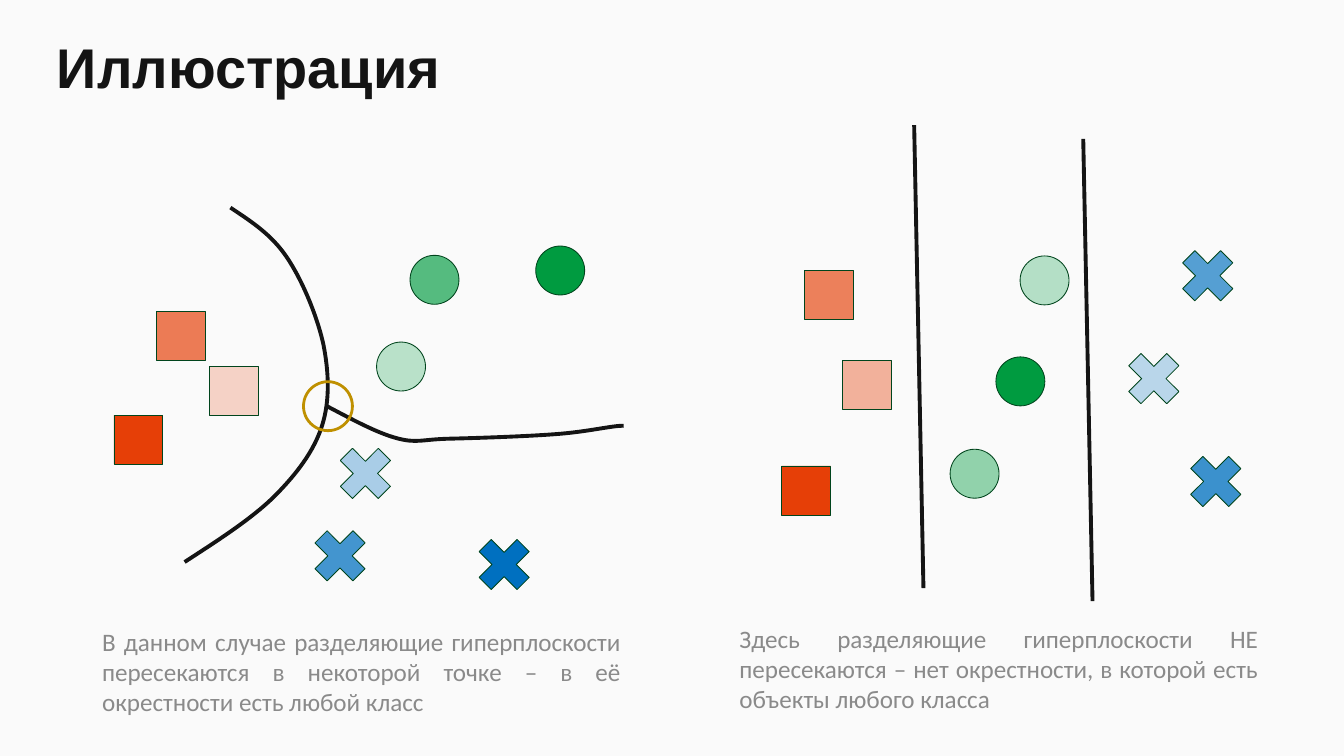
from dataclasses import dataclass
from typing import Optional

from lxml.etree import SubElement
from pptx import Presentation
from pptx.dml.color import RGBColor
from pptx.enum.shapes import MSO_CONNECTOR as Link, MSO_SHAPE as Form
from pptx.enum.text import MSO_ANCHOR as Anchor, MSO_AUTO_SIZE as Fit, PP_ALIGN as Align
from pptx.oxml.ns import qn
from pptx.util import Inches, Pt

COLS, ROWS = 217, 122
CELL = Inches(21.7) / COLS
INK, EDGE, GOLD, GREY, PAPER = "141414", "00441C", "BF9000", "8A8A8A", "FAFAFA"
Point = tuple[float, float]


@dataclass(frozen=True)
class Kind:
    form: Form
    size: float
    fill: Optional[str] = None
    edge: str = EDGE
    width: float = 1


@dataclass(frozen=True)
class Mark:
    """An object of a class, placed by its centre; alpha is in percent."""
    kind: Kind
    col: float
    row: float
    alpha: int = 100


@dataclass(frozen=True)
class Note:
    col: float
    row: float
    text: str


SQUARE = Kind(Form.RECTANGLE, 7.9, "E63F07")
DOT = Kind(Form.OVAL, 7.9, "009B40")
CROSS = Kind(Form.MATH_MULTIPLY, 11.8, "0070C0")
RING = Kind(Form.OVAL, 7.9, edge=GOLD, width=3.25)

MEETING = [
    Mark(SQUARE, 29.25, 54.25, 68), Mark(SQUARE, 22.35, 70.95), Mark(SQUARE, 37.75, 63.15, 21),
    Mark(DOT, 70.15, 45.15, 66), Mark(DOT, 90.45, 43.65), Mark(DOT, 64.75, 59.15, 26),
    Mark(CROSS, 59, 76.4, 32), Mark(CROSS, 81.4, 91.1), Mark(CROSS, 54.9, 89.7, 73),
]
APART = [
    Mark(SQUARE, 133.85, 47.55, 65), Mark(SQUARE, 139.95, 62.05, 39), Mark(SQUARE, 130.15, 79.15),
    Mark(DOT, 168.65, 45.25, 28), Mark(DOT, 164.75, 61.55), Mark(DOT, 157.35, 76.45, 42),
    Mark(CROSS, 195, 44.5, 66), Mark(CROSS, 186.3, 61.1, 26), Mark(CROSS, 196.3, 77.7, 76),
]
# Each curve is a start point, then two handles and an end point per piece.
CURVES: list[list[Point]] = [
    [(37.2, 33.5), (40.5, 35.7), (43.8, 37.8), (46.3, 41.5),
     (48.8, 45.2), (51.2, 51), (52.2, 55.5), (53.1, 60), (53.3, 64.6), (52, 68.7),
     (50.7, 72.8), (47.9, 76.5), (44.2, 80.2), (40.5, 83.8), (35.2, 87.2), (29.8, 90.7)],
    [(52.7, 65.5), (56.7, 67.6), (60.7, 69.8), (64, 70.7),
     (67.3, 71.6), (68.1, 70.9), (72.5, 70.8), (76.9, 70.7), (85.8, 70.4), (90.5, 70),
     (95.2, 69.6), (98.8, 68.7), (100.7, 68.7)],
]
LINES: list[tuple[Point, Point]] = [
    ((147.6, 20.2), (149.1, 94.9)),
    ((174.9, 22.4), (176.4, 97)),
]
NOTES = [
    Note(15.5, 100.6, "В данном случае разделяющие гиперплоскости пересекаются "
                      "в некоторой точке – в её окрестности есть любой класс"),
    Note(118.4, 100.1, "Здесь разделяющие гиперплоскости НЕ пересекаются – "
                       "нет окрестности, в которой есть объекты любого класса"),
]


def grid(*cells: float) -> list[int]:
    return [round(cell * CELL) for cell in cells]


def paint(color, value: str) -> None:
    color.rgb = RGBColor.from_string(value)


def stroke(line, color: str, width: float) -> None:
    paint(line.color, color)
    line.width = Pt(width)


def style(para, font: str, size: float, color: str, bold: bool = False) -> None:
    para.font.name, para.font.size, para.font.bold = font, Pt(size), bold
    paint(para.font.color, color)


def add_mark(shapes, mark: Mark) -> None:
    kind, half = mark.kind, mark.kind.size / 2
    shape = shapes.add_shape(
        kind.form, *grid(mark.col - half, mark.row - half, kind.size, kind.size))
    shape.shadow.inherit = False
    stroke(shape.line, kind.edge, kind.width)
    if kind.fill is None:
        shape.fill.background()
        return
    shape.fill.solid()
    paint(shape.fill.fore_color, kind.fill)
    if mark.alpha < 100:
        tint = shape._element.spPr.find(qn("a:solidFill"))[0]
        SubElement(tint, qn("a:alpha"), val=str(mark.alpha * 1000))


def add_curve(shapes, knots: list[Point]) -> None:
    """Draw the knots as an outline, then join each three into a Bezier piece."""
    first, *rest = [grid(*knot) for knot in knots]
    draft = shapes.build_freeform(*first)
    draft.add_line_segments(rest, close=False)
    curve = draft.convert_to_shape()
    trace = next(curve._element.iter(qn("a:path")))
    legs = trace.findall(qn("a:lnTo"))
    for i in range(0, len(legs), 3):
        piece = SubElement(trace, qn("a:cubicBezTo"))
        for leg in legs[i:i + 3]:
            piece.append(leg[0])
            trace.remove(leg)
    curve.shadow.inherit = False
    curve.fill.background()
    stroke(curve.line, INK, 4.5)


def add_line(shapes, start: Point, end: Point) -> None:
    line = shapes.add_connector(Link.STRAIGHT, *grid(*start, *end))
    stroke(line.line, INK, 4.5)
    SubElement(line._element.spPr, qn("a:effectLst"))


def add_note(shapes, note: Note) -> None:
    frame = shapes.add_textbox(*grid(note.col, note.row, 85.7, 15.8)).text_frame
    frame.word_wrap, frame.auto_size = True, Fit.SHAPE_TO_FIT_TEXT
    para = frame.paragraphs[0]
    para.text, para.alignment = note.text, Align.JUSTIFY
    style(para, "Calibri", 29.2, GREY)


def set_title(title, text: str) -> None:
    title.left, title.top, title.width, title.height = grid(9.2, 4.4, 198.6, 13)
    frame = title.text_frame
    frame.margin_left = frame.margin_right = frame.margin_top = frame.margin_bottom = 0
    frame.vertical_anchor, frame.auto_size = Anchor.MIDDLE, Fit.NONE
    para = frame.paragraphs[0]
    para.text, para.alignment, para.line_spacing = text, Align.LEFT, Pt(75)
    style(para, "Arial", 65, INK, bold=True)


def main() -> None:
    deck = Presentation()
    deck.slide_width, deck.slide_height = grid(COLS, ROWS)
    slide = deck.slides.add_slide(deck.slide_layouts[5])
    slide.background.fill.solid()
    paint(slide.background.fill.fore_color, PAPER)
    shapes = slide.shapes
    set_title(shapes.title, "Иллюстрация")

    group = shapes.add_group_shape().shapes
    for mark in MEETING:
        add_mark(group, mark)
    for knots in CURVES:
        add_curve(group, knots)
    add_mark(group, Mark(RING, 52.95, 65.55))

    for mark in APART:
        add_mark(shapes, mark)
    for start, end in LINES:
        add_line(shapes, start, end)
    for note in NOTES:
        add_note(shapes, note)
    deck.save("out.pptx")


if __name__ == "__main__":
    main()
